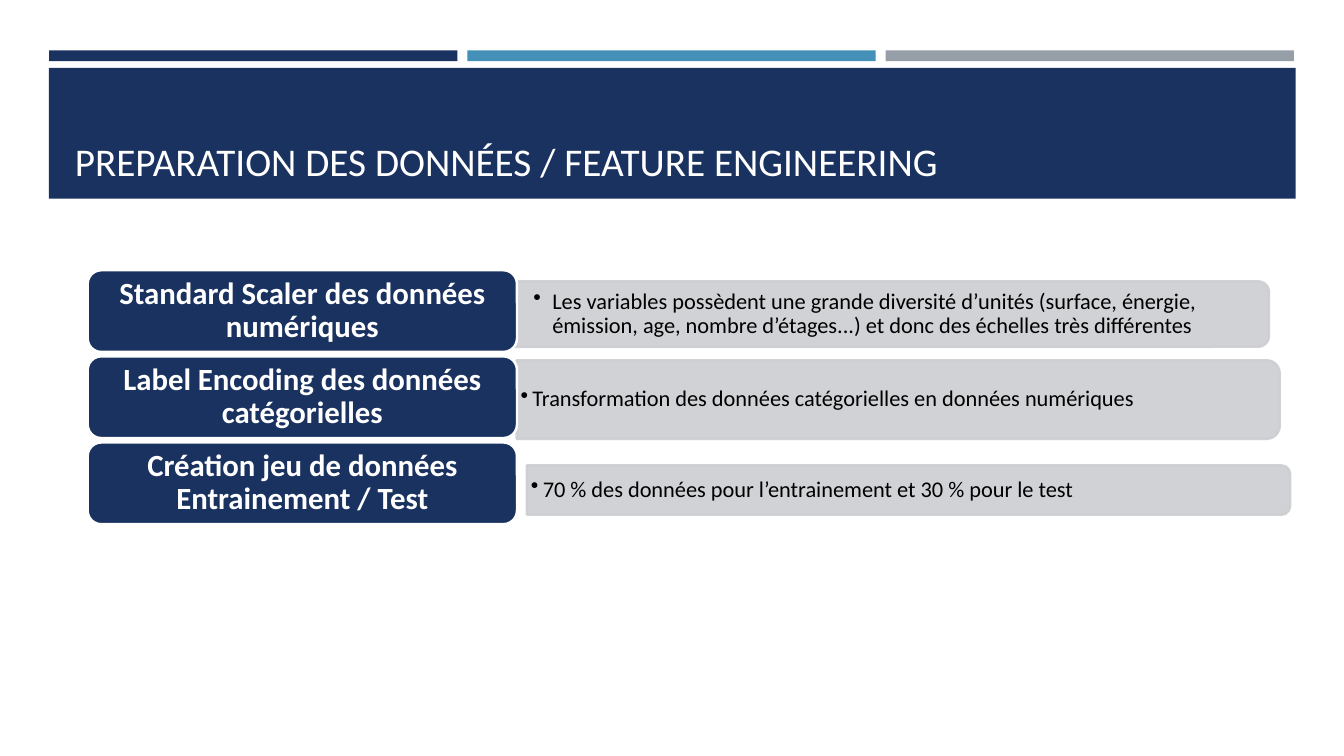
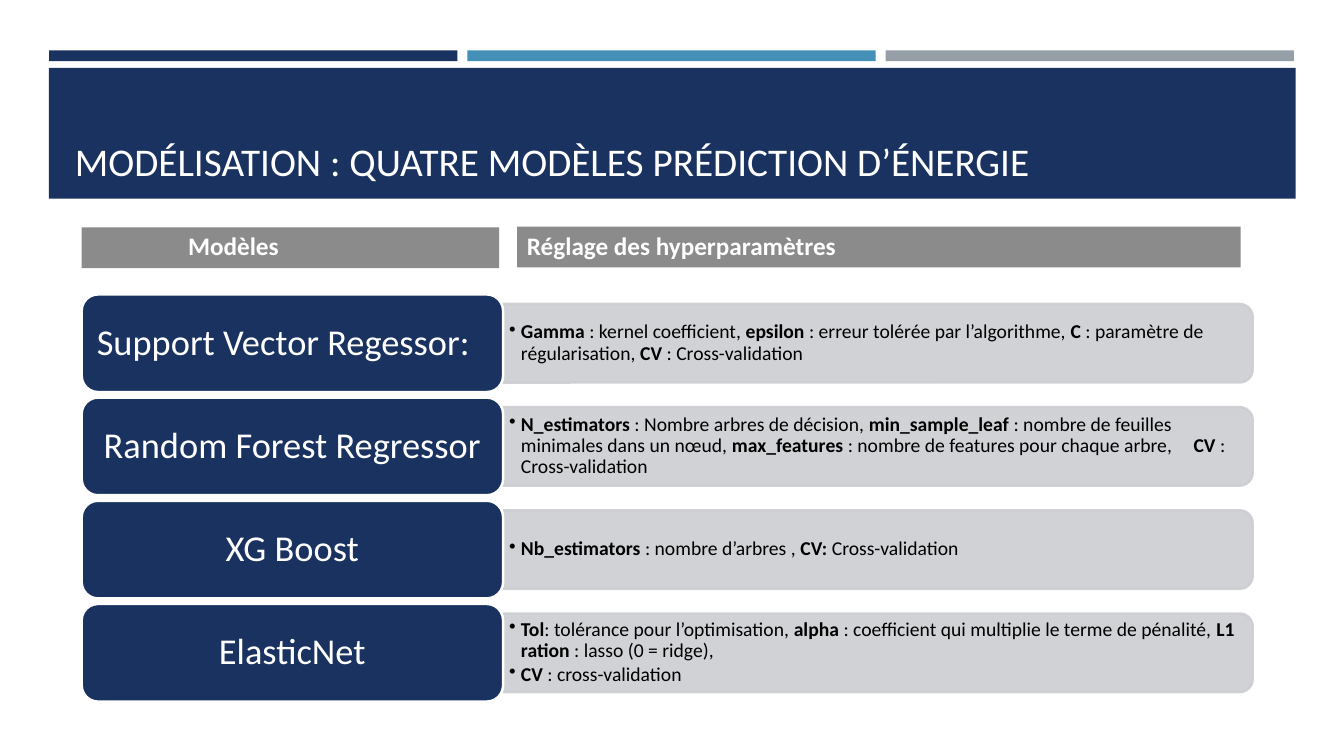
from lxml import etree
from pptx import Presentation
from pptx import util as u
from pptx.dml.color import RGBColor
from pptx.enum import shapes, text
from pptx.oxml.ns import qn

NAVY = RGBColor(0x1A, 0x32, 0x60)
BLUE = RGBColor(0x45, 0x90, 0xB8)
SLATE = RGBColor(0x96, 0x9F, 0xA7)
GREY = RGBColor(0x8B, 0x8B, 0x8B)
PALE = RGBColor(0xCD, 0xCE, 0xD2)
WHITE = RGBColor(0xFF, 0xFF, 0xFF)
BLACK = RGBColor(0, 0, 0)
FONT = "Calibri"
OUTLINE = u.Pt(1.75)
KIND = shapes.MSO_SHAPE
ALIGN = text.PP_ALIGN
ANCHOR = text.MSO_ANCHOR

PREPARATION = [
    ("Standard Scaler des données numériques", (12.75, 7.09, 19.23, 1.65), 0.69, 0.48,
     "Les variables possèdent une grande diversité d’unités (surface, énergie, "
     "émission, age, nombre d’étages...) et donc des échelles très différentes"),
    ("Label Encoding des données catégorielles", (13.02, 9.08, 19.23, 1.98), 0.1, 0.3,
     "Transformation des données catégorielles en données numériques"),
    ("Création jeu de données Entrainement / Test", (13.28, 11.73, 19.23, 1.24), 0.1, 0.3,
     "70 % des données pour l’entrainement et 30 % pour le test"),
]
MODELS = [
    ("Support Vector Regessor:", ALIGN.LEFT,
     ["*Gamma* : kernel coefficient, *epsilon* : erreur tolérée par l’algorithme,* C *"
      ": paramètre de régularisation, *CV* : Cross-validation"]),
    ("Random Forest Regressor", ALIGN.CENTER,
     ["*N_estimators *: Nombre arbres de décision, *min_sample_leaf *: nombre de feuilles "
      "minimales dans un nœud, *max_features *: nombre de features pour chaque arbre,\t"
      "*CV* : Cross-validation"]),
    ("XG Boost", ALIGN.CENTER,
     ["*Nb_estimators *: nombre d’arbres , *CV: *Cross-validation"]),
    ("ElasticNet", ALIGN.CENTER,
     ["*Tol*: tolérance pour l’optimisation, *alpha* : coefficient qui multiplie le terme "
      "de pénalité, *L1 ration *: lasso (0 = ridge),",
      "*CV* : cross-validation"]),
]


def lengths(box):
    return [u.Cm(value) for value in box]


def add_block(page, kind, box, fill, line=None):
    shape = page.shapes.add_shape(kind, *lengths(box))
    shape.shadow.inherit = False
    shape.fill.solid()
    shape.fill.fore_color.rgb = fill
    if line is None:
        shape.line.fill.background()
    else:
        shape.line.color.rgb = line
        shape.line.width = OUTLINE
    return shape


def set_frame(shape, left, right, bottom=0, anchor=ANCHOR.MIDDLE):
    frame = shape.text_frame
    frame.word_wrap = True
    frame.vertical_anchor = anchor
    frame.margin_left, frame.margin_right = u.Cm(left), u.Cm(right)
    frame.margin_top, frame.margin_bottom = 0, u.Cm(bottom)
    return frame


def add_span(para, words, size, color, bold=False):
    span = para.add_run()
    span.text = words
    span.font.name = FONT
    span.font.size = u.Pt(size)
    span.font.bold = bold
    span.font.color.rgb = color


def write_line(frame, words, size, align=ALIGN.LEFT, bold=False):
    para = frame.paragraphs[0]
    para.alignment = align
    para.line_spacing = 0.9
    add_span(para, words, size, WHITE, bold)


def write_bullets(frame, lines, size, hang):
    for index, line in enumerate(lines):
        para = frame.add_paragraph() if index else frame.paragraphs[0]
        para.alignment = ALIGN.LEFT
        para.line_spacing = 0.9
        para.space_after = u.Pt(2)
        props = para._p.get_or_add_pPr()
        props.set("marL", str(u.Cm(hang)))
        props.set("indent", str(-u.Cm(hang)))
        etree.SubElement(props, qn("a:buChar"), char="•")
        if "\t" in line:
            stops = etree.SubElement(props, qn("a:tabLst"))
            etree.SubElement(stops, qn("a:tab"), pos=str(u.Cm(17.25)), algn="l")
        for order, words in enumerate(line.split("*")):
            if words:
                add_span(para, words, size, BLACK, order % 2 == 1)


def add_label(page, box, words, size, align=ALIGN.CENTER, bold=False):
    label = add_block(page, KIND.ROUNDED_RECTANGLE, box, NAVY, WHITE)
    write_line(set_frame(label, 0.26, 0.26), words, size, align, bold)


def add_panel(page, box, lines, size, inset, hang):
    left, top, width, height = box
    upright = (left + (width - height) / 2, top + (height - width) / 2, height, width)
    panel = add_block(page, KIND.ROUND_2_SAME_RECTANGLE, upright, PALE, PALE)
    panel.rotation = 90
    for color in panel._element.iter(qn("a:srgbClr")):
        etree.SubElement(color, qn("a:alpha"), val="90000")
    words = page.shapes.add_textbox(*lengths((left, top, width - 0.08, height)))
    write_bullets(set_frame(words, inset, inset), lines, size, hang)


def add_header(page, box, words, inset):
    header = add_block(page, KIND.RECTANGLE, box, GREY)
    write_line(set_frame(header, inset, 0.25), words, 18, bold=True)


def add_page(deck, title):
    page = deck.slides.add_slide(deck.slide_layouts[6])
    for column, color in enumerate((NAVY, BLUE, SLATE)):
        add_block(page, KIND.RECTANGLE, (1.24 + 10.54 * column, 1.27, 10.29, 0.27), color)
    band = add_block(page, KIND.RECTANGLE, (1.23, 1.71, 31.42, 3.3), NAVY)
    write_line(set_frame(band, 0.66, 0.66, 0.36, ANCHOR.BOTTOM), title, 28)
    return page


def add_preparation(deck):
    page = add_page(deck, "PREPARATION DES DONNÉES / FEATURE ENGINEERING")
    for row, (name, box, inset, hang, detail) in enumerate(PREPARATION):
        add_panel(page, box, [detail], 16, inset, hang)
        add_label(page, (2.21, 6.81 + 2.17 * row, 10.82, 2.06), name, 22, bold=True)


def add_models(deck):
    page = add_page(deck, "MODÉLISATION : QUATRE MODÈLES PRÉDICTION D’ÉNERGIE")
    add_header(page, (2.06, 5.73, 10.52, 1.03), "Modèles", 2.68)
    add_header(page, (13.03, 5.71, 18.24, 1.03), "Réglage des hyperparamètres", 0.25)
    for row, (name, align, details) in enumerate(MODELS):
        top = 7.42 + 2.6 * row
        add_panel(page, (12.67, top + 0.24, 18.9, 1.98), details, 14, 0.16, 0.3)
        add_label(page, (2.06, top, 10.62, 2.46), name, 26, align)


def main():
    deck = Presentation()
    deck.slide_width, deck.slide_height = u.Cm(33.87), u.Cm(19.05)
    add_preparation(deck)
    add_models(deck)
    deck.save("out.pptx")


if __name__ == "__main__":
    main()
